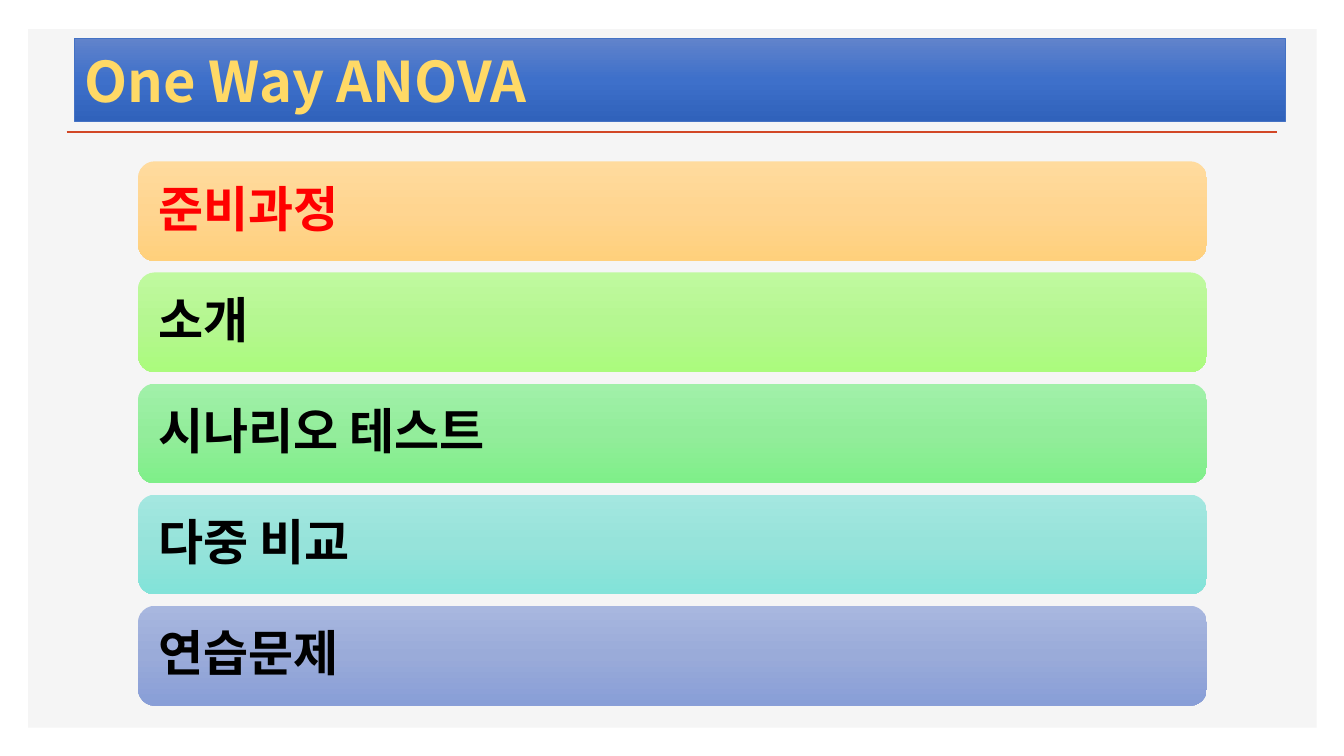
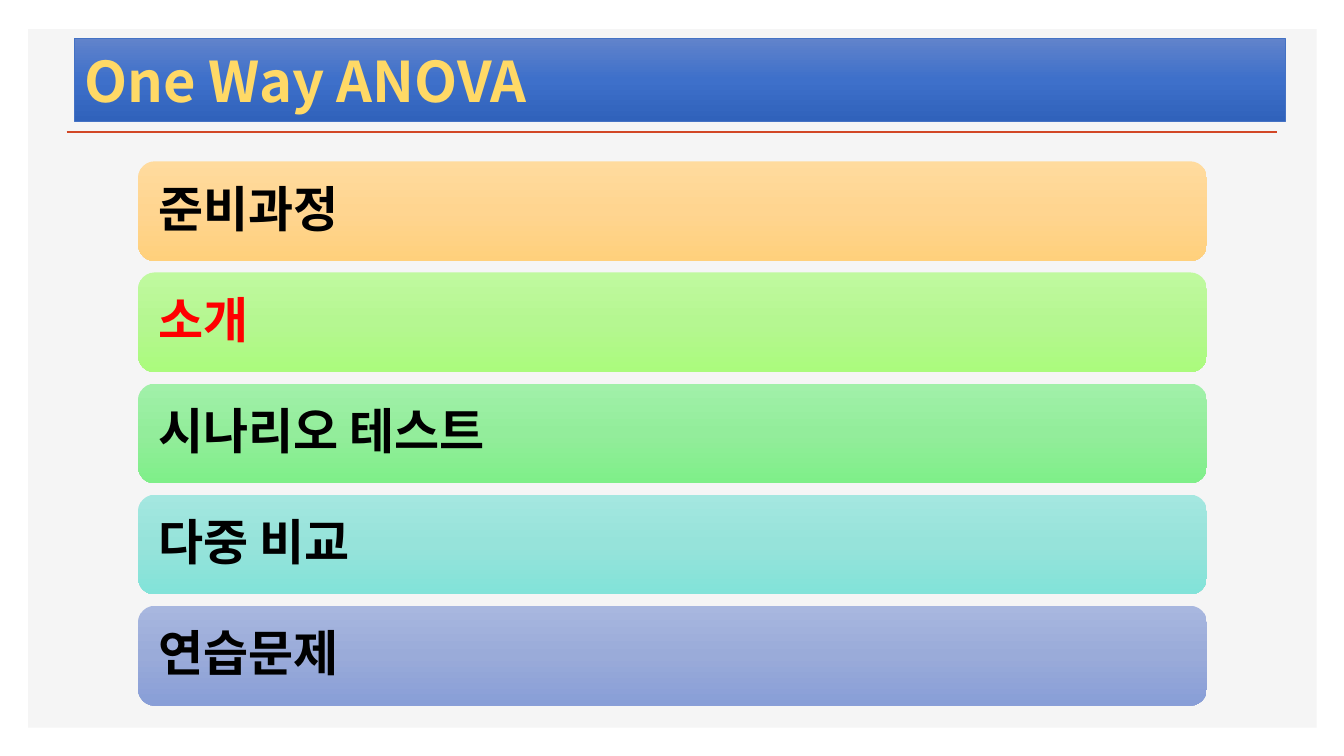
from copy import deepcopy

from lxml import etree
from pptx import Presentation
from pptx import util as u
from pptx.dml.color import RGBColor
from pptx.enum import shapes, text
from pptx.oxml.ns import qn

# Content
TITLE = "One Way ANOVA"
AGENDA = [  # topic, gradient from top to bottom
    ("준비과정", ("FFDB9E", "FFD590", "FFD07C")),
    ("소개", ("C0F99F", "B5F791", "ABFB7D")),
    ("시나리오 테스트", ("A1F0A9", "93ED9B", "7FEF89")),
    ("다중 비교", ("A4E7E0", "96E3DA", "82E3D9")),
    ("연습문제", ("A8B7DF", "9AABD9", "889ED7")),
]
CURRENT_TOPICS = [0, 1]  # highlighted topic, one per slide

# Style
FONT = "Noto Sans CJK KR"
TITLE_GRADIENT = ("6183CB", "3E70CA", "3062BB")
PANEL = RGBColor(0xF5, 0xF5, 0xF5)
RULE = RGBColor(0xD2, 0x47, 0x26)
TITLE_EDGE = RGBColor(0x44, 0x72, 0xC4)
TITLE_TEXT = RGBColor(0xFF, 0xD9, 0x66)
BLACK = RGBColor(0, 0, 0)
RED = RGBColor(0xFF, 0, 0)

# Layout in inches
WIDTH, HEIGHT = 13.33, 7.5
PANEL_BOX = (0.28, 0.29, 12.78, 6.93)
TITLE_BOX = (0.74, 0.38, 12.01, 0.82)
RULE_LEFT, RULE_RIGHT, RULE_Y = 0.66, 12.67, 1.31
BAR_LEFT, BAR_TOP, BAR_WIDTH, BAR_HEIGHT = 1.37, 1.6, 10.6, 0.99
BAR_PITCH = (7 - BAR_TOP - BAR_HEIGHT) / (len(AGENDA) - 1)


def add_box(slide, kind, box):
    sp = slide.shapes.add_shape(kind, *map(u.Inches, box))
    sp.shadow.inherit = False
    sp.line.fill.background()
    return sp


def fill_gradient(sp, colors):
    sp.fill.gradient()
    sp.fill.gradient_angle = 270
    stop_list = sp.fill._xPr.find(qn("a:gradFill")).find(qn("a:gsLst"))
    while len(stop_list) < len(colors):
        stop_list.append(deepcopy(stop_list[-1]))
    for i, (stop, color) in enumerate(zip(sp.fill.gradient_stops, colors)):
        stop.position = i / (len(colors) - 1)
        stop.color.rgb = RGBColor.from_string(color)


def write(sp, words, size, color, inset=None, spacing=None):
    tf = sp.text_frame
    tf.word_wrap = True
    tf.vertical_anchor = text.MSO_ANCHOR.MIDDLE
    if inset:
        tf.margin_left = tf.margin_right = u.Inches(inset)
        tf.margin_top = tf.margin_bottom = u.Inches(inset)
    p = tf.paragraphs[0]
    p.alignment = text.PP_ALIGN.LEFT
    if spacing:
        p.line_spacing = spacing
    r = p.add_run()
    r.text = words
    r.font.name, r.font.size, r.font.bold = FONT, u.Pt(size), True
    r.font.color.rgb = color
    etree.SubElement(r.font._element, qn("a:ea"), typeface=FONT)


def add_frame(slide):
    # Background panel
    panel = add_box(slide, shapes.MSO_SHAPE.RECTANGLE, PANEL_BOX)
    panel.fill.solid()
    panel.fill.fore_color.rgb = PANEL

    # Rule under the title
    rule = slide.shapes.add_connector(
        shapes.MSO_CONNECTOR.STRAIGHT,
        *map(u.Inches, (RULE_LEFT, RULE_Y, RULE_RIGHT, RULE_Y)))
    rule.line.color.rgb, rule.line.width = RULE, u.Pt(2)
    etree.SubElement(rule._element.spPr, qn("a:effectLst"))

    # Title band
    band = add_box(slide, shapes.MSO_SHAPE.RECTANGLE, TITLE_BOX)
    fill_gradient(band, TITLE_GRADIENT)
    band.line.color.rgb, band.line.width = TITLE_EDGE, u.Pt(0.5)
    write(band, TITLE, 40, TITLE_TEXT)


def add_agenda(slide, current):
    for i, (topic, colors) in enumerate(AGENDA):
        bar = add_box(slide, shapes.MSO_SHAPE.ROUNDED_RECTANGLE,
                      (BAR_LEFT, BAR_TOP + i * BAR_PITCH, BAR_WIDTH, BAR_HEIGHT))
        fill_gradient(bar, colors)
        write(bar, topic, 35, RED if i == current else BLACK, inset=0.15, spacing=0.9)


def main():
    prs = Presentation()
    prs.slide_width, prs.slide_height = u.Inches(WIDTH), u.Inches(HEIGHT)
    for current in CURRENT_TOPICS:
        slide = prs.slides.add_slide(prs.slide_layouts[6])
        add_frame(slide)
        add_agenda(slide, current)
    prs.save("out.pptx")


if __name__ == "__main__":
    main()
